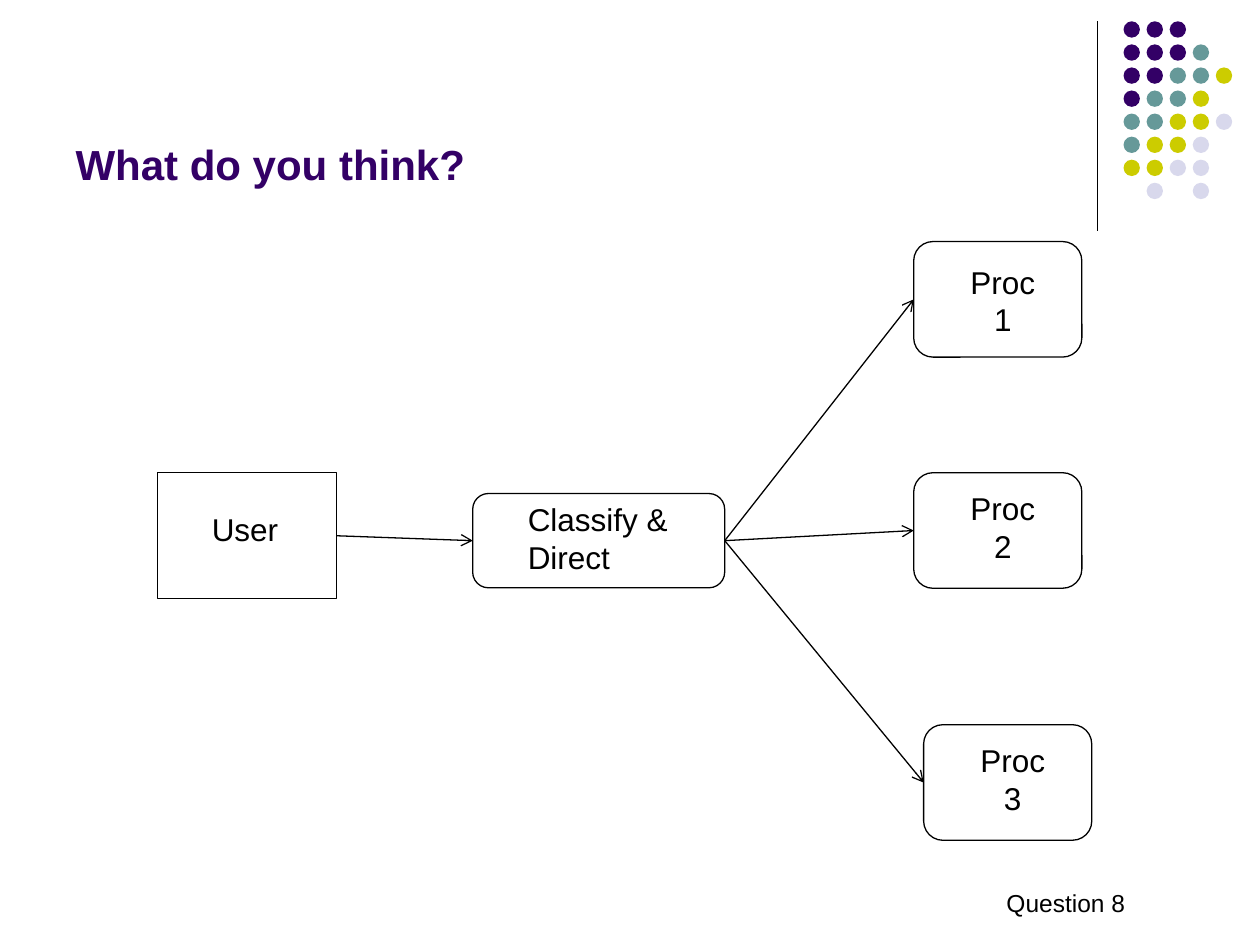
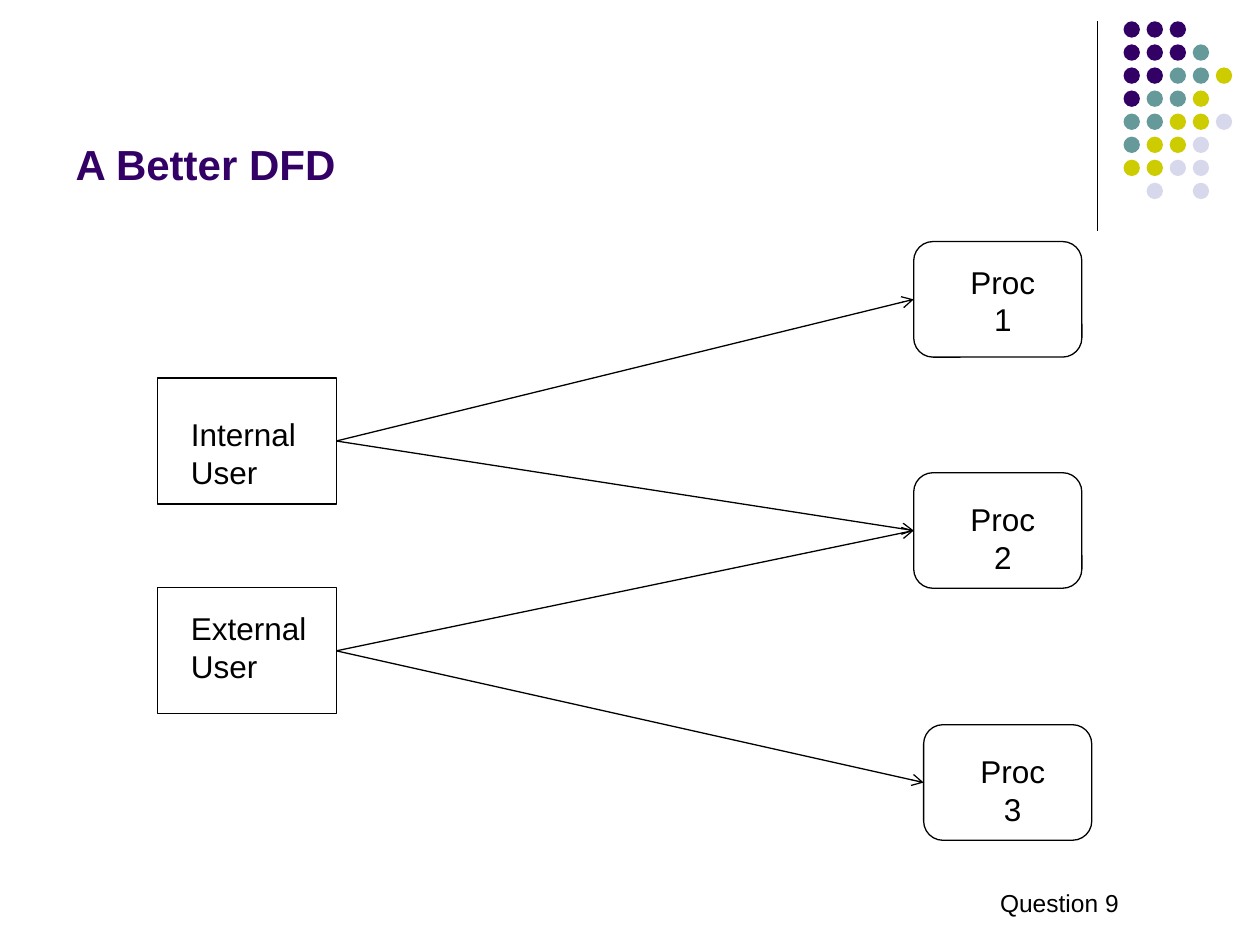
from lxml import etree
from pptx import Presentation
from pptx.dml.color import RGBColor
from pptx.enum.shapes import MSO_CONNECTOR, MSO_SHAPE
from pptx.enum.text import MSO_ANCHOR, MSO_AUTO_SIZE, PP_ALIGN
from pptx.oxml.ns import qn
from pptx.util import Cm, Pt

STRAIGHT = MSO_CONNECTOR.STRAIGHT
RECTANGLE, ROUNDED, OVAL = MSO_SHAPE.RECTANGLE, MSO_SHAPE.ROUNDED_RECTANGLE, MSO_SHAPE.OVAL
BOTTOM = MSO_ANCHOR.BOTTOM
NO_FIT, GROW = MSO_AUTO_SIZE.NONE, MSO_AUTO_SIZE.SHAPE_TO_FIT_TEXT
LEFT, CENTER = PP_ALIGN.LEFT, PP_ALIGN.CENTER

BLACK = RGBColor(0x00, 0x00, 0x00)
PURPLE = RGBColor(0x33, 0x00, 0x66)
TEAL = RGBColor(0x66, 0x99, 0x99)
OLIVE = RGBColor(0xCC, 0xCC, 0x00)
LAVENDER = RGBColor(0xD8, 0xD8, 0xEC)

FONT = "Arial"
LINE_WIDTH = Pt(0.75)
LEFT_SITE, RIGHT_SITE = 1, 3
TITLE_BOX = (1.27, 0.33, 20.96, 3.61)
DOT_BAND_BOX = (22.12, 0.43, 2.72, 4.22)
DOT_COLORS = {"P": PURPLE, "T": TEAL, "O": OLIVE, "L": LAVENDER}
DOT_ROWS = ("PPP", "PPPT", "PPTTO", "PTTO", "TTOOL", "TOOL", "OOLL", " L L")
DOT_SIZE, DOT_PITCH, DOT_INDENT = 0.33, 0.465, 0.53
USER_SIZE = (3.6, 2.54)
PROCESS_SIZE = (3.39, 2.33)
PROCESS_POSITIONS = ((18.42, 4.87), (18.42, 9.53), (18.62, 14.61))


def lengths(box):
    return [Cm(value) for value in box]


def style_text(text_frame, size, color, bold=False, alignment=LEFT):
    for paragraph in text_frame.paragraphs:
        paragraph.alignment = alignment
        for run in paragraph.runs:
            run.font.name = FONT
            run.font.size = Pt(size)
            run.font.bold = bold
            run.font.color.rgb = color


def style_line(shape):
    shape.line.color.rgb = BLACK
    shape.line.width = LINE_WIDTH


def add_line(slide, begin=(0, 0), end=(0, 0)):
    line = slide.shapes.add_connector(STRAIGHT, *lengths(begin + end))
    style_line(line)
    etree.SubElement(line.element.spPr, qn("a:effectLst"))
    return line


def add_arrow(slide, source, target):
    arrow = add_line(slide)
    arrow.begin_connect(source, RIGHT_SITE)
    arrow.end_connect(target, LEFT_SITE)
    etree.SubElement(arrow.line._get_or_add_ln(), qn("a:tailEnd"), type="arrow")


def add_label(slide, box, text, size=18, alignment=LEFT, wrap=True):
    label = slide.shapes.add_textbox(*lengths(box))
    text_frame = label.text_frame
    text_frame.text = text
    text_frame.word_wrap = wrap
    text_frame.auto_size = GROW
    style_text(text_frame, size, BLACK, alignment=alignment)


def add_node(slide, preset, box, text, label_box, alignment=LEFT, wrap=True):
    node = slide.shapes.add_shape(preset, *lengths(box))
    node.shadow.inherit = False
    node.fill.background()
    style_line(node)
    left, top = box[:2]
    offset_x, offset_y, width, height = label_box
    add_label(slide, (left + offset_x, top + offset_y, width, height),
              text, alignment=alignment, wrap=wrap)
    return node


def add_user(slide, top, text, label_box):
    return add_node(slide, RECTANGLE, (3.18, top) + USER_SIZE, text, label_box)


def add_processes(slide, label_drops):
    return [
        add_node(slide, ROUNDED, position + PROCESS_SIZE, f"Proc {number}",
                 (0.63, drop, 2.33, 1.78), CENTER)
        for number, (position, drop) in enumerate(zip(PROCESS_POSITIONS, label_drops), 1)
    ]


def add_titled_slide(presentation, title_text, footer_text, footer_left):
    slide = presentation.slides.add_slide(presentation.slide_layouts[5])
    title = slide.shapes.title
    title.left, title.top, title.width, title.height = lengths(TITLE_BOX)
    title.text_frame.text = title_text
    title.text_frame.vertical_anchor = BOTTOM
    title.text_frame.auto_size = NO_FIT
    style_text(title.text_frame, 24, PURPLE, bold=True)
    add_label(slide, (footer_left, 17.78, 2.9, 0.86), footer_text, size=14, wrap=False)
    return slide


def add_dot_band_to_layout(slide, box):
    left, top, _, height = box
    rule = add_line(slide, (left, top), (left, top + height))
    dots = slide.shapes.add_group_shape()
    for row, codes in enumerate(DOT_ROWS):
        for column, code in enumerate(codes):
            if code == " ":
                continue
            dot_box = (left + DOT_INDENT + column * DOT_PITCH,
                       top + row * DOT_PITCH, DOT_SIZE, DOT_SIZE)
            dot = dots.shapes.add_shape(OVAL, *lengths(dot_box))
            dot.shadow.inherit = False
            dot.fill.solid()
            dot.fill.fore_color.rgb = DOT_COLORS[code]
            dot.line.fill.background()
    layout_tree = slide.slide_layout.shapes.element
    layout_tree.append(rule.element)
    layout_tree.append(dots.element)


def build_classifier_slide(presentation):
    slide = add_titled_slide(presentation, "What do you think?", "Question 8", 20.04)
    user = add_user(slide, 9.53, "User", (0.84, 0.63, 1.92, 1.01))
    classifier = add_node(slide, ROUNDED, (9.53, 9.95, 5.08, 1.9), "Classify &\nDirect",
                          (0.86, 0, 3.33, 1.78), wrap=False)
    processes = add_processes(slide, (0.3, 0.2, 0.2))
    add_arrow(slide, user, classifier)
    for process in processes:
        add_arrow(slide, classifier, process)


def build_better_slide(presentation):
    slide = add_titled_slide(presentation, "A Better DFD", "Question 9", 19.91)
    internal = add_user(slide, 7.62, "Internal User", (0.42, 0.63, 3.6, 1.78))
    external = add_user(slide, 11.85, "External User", (0.42, 0.3, 3.39, 1.78))
    first, second, third = add_processes(slide, (0.3, 0.42, 0.42))
    for user, process in ((internal, first), (internal, second),
                          (external, second), (external, third)):
        add_arrow(slide, user, process)
    return slide


def main():
    presentation = Presentation()
    presentation.slide_width, presentation.slide_height = Cm(25.4), Cm(19.05)
    build_classifier_slide(presentation)
    slide = build_better_slide(presentation)
    add_dot_band_to_layout(slide, DOT_BAND_BOX)
    presentation.save("out.pptx")


if __name__ == "__main__":
    main()
